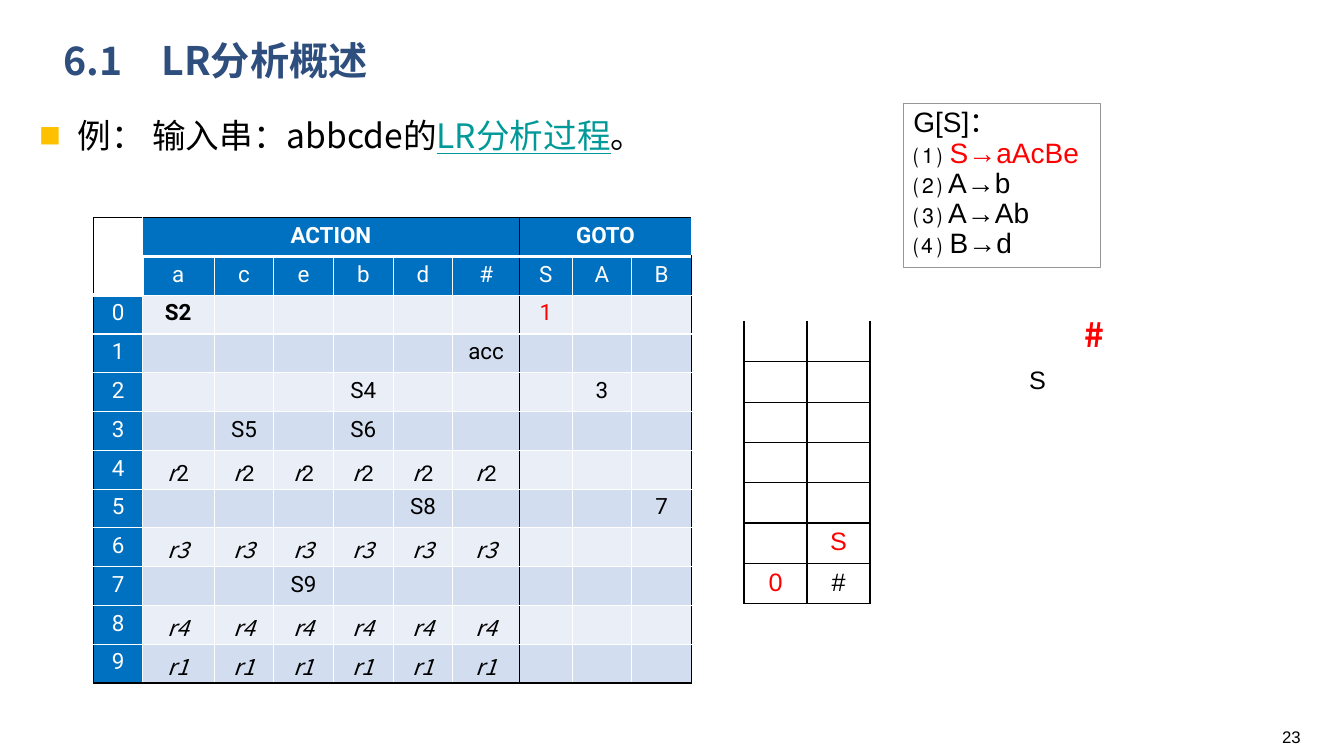
from lxml.etree import SubElement
from pptx import Presentation
from pptx.dml.color import RGBColor as RGB
from pptx.enum.shapes import MSO_SHAPE as SHAPE
from pptx.enum.text import MSO_ANCHOR as ANCHOR, MSO_AUTO_SIZE as AUTO, PP_ALIGN as AL
from pptx.oxml.ns import qn
from pptx.util import Inches, Pt

COLORS = {"title": "2E4E7E", "text": "000000", "white": "FFFFFF", "red": "FF0000",
          "link": "009999", "bullet": "FFC000", "header": "0070C0",
          "light": "EAEFF7", "dark": "D2DEEF", "frame": "969696"}
CJK, ARIAL, ROBOTO = "Noto Sans CJK SC", "Arial", "Roboto"

# LR parsing table: terminals, then nonterminals
SYMBOLS = "acebd#SAB"
ENTRIES = {(0, "a"): "S2", (0, "S"): "1", (1, "#"): "acc", (2, "b"): "S4",
           (2, "A"): "3", (3, "c"): "S5", (3, "b"): "S6", (5, "d"): "S8",
           (5, "B"): "7", (7, "e"): "S9"}
REDUCTIONS = {4: "r2", 6: "r3", 8: "r4", 9: "r1"}
COL_WIDTHS = [0.48, 0.71, 0.59, 0.59, 0.59, 0.59, 0.66, 0.52, 0.59, 0.59]
GRAMMAR = [("G[S]：", ""), ("⑴ ", "S→aAcBe"), ("⑵ A→b", ""), ("⑶ A→Ab", ""), ("⑷ B→d", "")]
STACK_ROWS = 7
STACK = {(5, 1): ("S", "red"), (6, 0): ("0", "red"), (6, 1): ("#", "text")}


def rgb(name):
    return RGB.from_string(COLORS[name])


def add_run(p, text, size, font, color="text", bold=False, italic=False, underline=False):
    r = p.add_run()
    r.text = text
    f = r.font
    f.size, f.name, f.bold, f.italic, f.underline = Pt(size), font, bold, italic, underline
    f.color.rgb = rgb(color)
    SubElement(r._r.get_or_add_rPr(), qn("a:ea")).set("typeface", font)


def place(shape, left, top, width, height):
    shape.left, shape.top = Inches(left), Inches(top)
    shape.width, shape.height = Inches(width), Inches(height)


def add_label(s, box, text, size, font, align, color="text", bold=False):
    tf = s.shapes.add_textbox(*map(Inches, box)).text_frame
    tf.word_wrap = True
    p = tf.paragraphs[0]
    p.alignment = align
    add_run(p, text, size, font, color, bold)


def set_borders(cell, **sides):
    """Each side L, R, T, B is a (color name, points) pair."""
    tcPr = cell._tc.get_or_add_tcPr()
    for i, side in enumerate("LRTB"):
        color, width = sides[side]
        ln = SubElement(tcPr, qn(f"a:ln{side}"), w=str(Pt(width)))
        fill = SubElement(ln, qn("a:solidFill"))
        SubElement(fill, qn("a:srgbClr")).set("val", COLORS[color])
        tcPr.insert(i, ln)


def set_fill(cell, color):
    if color:
        cell.fill.solid()
        cell.fill.fore_color.rgb = rgb(color)
    else:
        cell.fill.background()


def prepare_cell(cell, size):
    cell.margin_bottom = 0
    p = cell.text_frame.paragraphs[0]
    p.alignment = AL.CENTER
    SubElement(p._p, qn("a:endParaRPr")).set("sz", str(size * 100))
    return p


def add_plain_table(s, rows, cols, box):
    table = s.shapes.add_table(rows, cols, *map(Inches, box)).table
    table.first_row = table.horz_banding = False
    for row in table.rows:
        row.height = Inches(box[3] / rows)
    return table


def add_headings(s):
    title, body = s.shapes.title, s.placeholders[1]
    place(title, 0.53, 0.28, 11.5, 0.68)
    place(body, 0.29, 1.05, 11.5, 0.56)
    for shape in (title, body):
        shape.text_frame.auto_size = AUTO.NONE
        shape.text_frame.word_wrap = True

    title.text_frame.vertical_anchor = ANCHOR.MIDDLE
    p = title.text_frame.paragraphs[0]
    p.alignment, p.line_spacing = AL.LEFT, 0.9
    add_run(p, "6.1　LR分析概述", 28, CJK, "title", bold=True)

    p = body.text_frame.paragraphs[0]
    p.line_spacing, p.space_before = 1.1, Pt(0)
    pPr = p._p.get_or_add_pPr()
    pPr.set("marL", str(Inches(0.38)))
    pPr.set("indent", str(-Inches(0.38)))
    SubElement(SubElement(pPr, qn("a:buClr")), qn("a:srgbClr")).set("val", COLORS["bullet"])
    SubElement(pPr, qn("a:buSzPct")).set("val", "65000")
    SubElement(pPr, qn("a:buFont")).set("typeface", CJK)
    SubElement(pPr, qn("a:buChar")).set("char", "■")
    add_run(p, "例： 输入串：abbcde的", 24, CJK)
    add_run(p, "LR分析过程", 24, CJK, "link", underline=True)
    add_run(p, "。", 24, CJK)


def add_grammar(s):
    box = s.shapes.add_shape(SHAPE.RECTANGLE, *map(Inches, (8.96, 1.03, 1.96, 1.62)))
    box.shadow.inherit = False
    box.fill.background()
    box.line.color.rgb, box.line.width = rgb("frame"), Pt(0.75)
    tf = box.text_frame
    tf.word_wrap, tf.vertical_anchor = True, ANCHOR.TOP
    for i, (rule, active) in enumerate(GRAMMAR):
        p = tf.add_paragraph() if i else tf.paragraphs[0]
        p.alignment, p.line_spacing = AL.LEFT, 0.9
        add_run(p, rule, 20, ARIAL)
        if active:
            add_run(p, active, 20, ARIAL, "red")


def write_entry(p, state, col):
    symbol = SYMBOLS[col - 1]
    entry = ENTRIES.get((state, symbol))
    if entry:
        add_run(p, entry, 16, ROBOTO, "red" if entry == "1" else "text", bold=entry == "S2")
    elif state in REDUCTIONS and col <= 6:
        action = REDUCTIONS[state]
        if state == 4:
            add_run(p, action[0], 16, CJK, italic=True)
            add_run(p, action[1], 16, ROBOTO if col == 1 else ARIAL)
        else:
            add_run(p, action, 16, CJK, italic=True)


def add_parsing_table(s):
    table = add_plain_table(s, 12, 10, (0.93, 2.16, 5.93, 4.62))
    for col, width in zip(table.columns, COL_WIDTHS):
        col.width = Inches(5.93 * width / sum(COL_WIDTHS))
    thin, thick, black = ("white", 1), ("white", 3), ("text", 1)

    for i in range(12):
        for j in range(10):
            cell = table.cell(i, j)
            p = prepare_cell(cell, 16)
            header = i < 2 or j == 0
            if i < 2 and j == 0:
                set_fill(cell, None)
            else:
                set_fill(cell, "header" if header else ("light", "dark")[i % 2])
            set_borders(
                cell,
                L=black if j in (0, 7) else thick if (i, j) == (1, 1) else thin,
                R=black if j in (6, 9) else thin,
                T=black if i == 0 else thick if i == 1 or (i, j) == (2, 0) else thin,
                B=black if i == 11 else thick if i == 0 or (i, j) == (1, 0) else thin)
            if i == 1 and j:
                add_run(p, SYMBOLS[j - 1], 16, ROBOTO, "white")
            elif i > 1 and j == 0:
                add_run(p, str(i - 2), 16, ROBOTO, "white")
            elif i > 1:
                write_entry(p, i - 2, j)

    for j, last, name in ((1, 6, "ACTION"), (7, 9, "GOTO")):
        table.cell(0, j).merge(table.cell(0, last))
        add_run(table.cell(0, j).text_frame.paragraphs[0], name, 16, ROBOTO, "white", bold=True)
    table.cell(0, 0).merge(table.cell(1, 0))

    # Runs come before the end mark of each paragraph
    for cell in table.iter_cells():
        p = cell.text_frame.paragraphs[0]._p
        p.append(p.find(qn("a:endParaRPr")))


def add_stack(s):
    table = add_plain_table(s, STACK_ROWS, 2, (7.38, 3.19, 1.25, 2.8))
    black = ("text", 1)
    for i in range(STACK_ROWS):
        for j in range(2):
            cell = table.cell(i, j)
            p = prepare_cell(cell, 18)
            set_fill(cell, None)
            set_borders(cell, L=black, R=black, T=black if i else ("white", 1), B=black)
            if (i, j) in STACK:
                text, color = STACK[i, j]
                add_run(p, text, 18, ARIAL, color)


def main():
    prs = Presentation()
    prs.slide_width, prs.slide_height = Inches(13.33), Inches(7.5)
    s = prs.slides.add_slide(prs.slide_layouts[1])
    add_headings(s)
    add_grammar(s)
    add_parsing_table(s)
    add_stack(s)
    # Remaining input, current symbol and page number
    add_label(s, (9.21, 3.07, 1.84, 0.5), "#", 24, CJK, AL.RIGHT, "red", bold=True)
    add_label(s, (10.05, 3.57, 0.48, 0.4), "S", 18, ARIAL, AL.CENTER)
    add_label(s, (10.67, 7.16, 2.33, 0.27), "23", 12, ARIAL, AL.RIGHT)
    prs.save("out.pptx")


if __name__ == "__main__":
    main()
